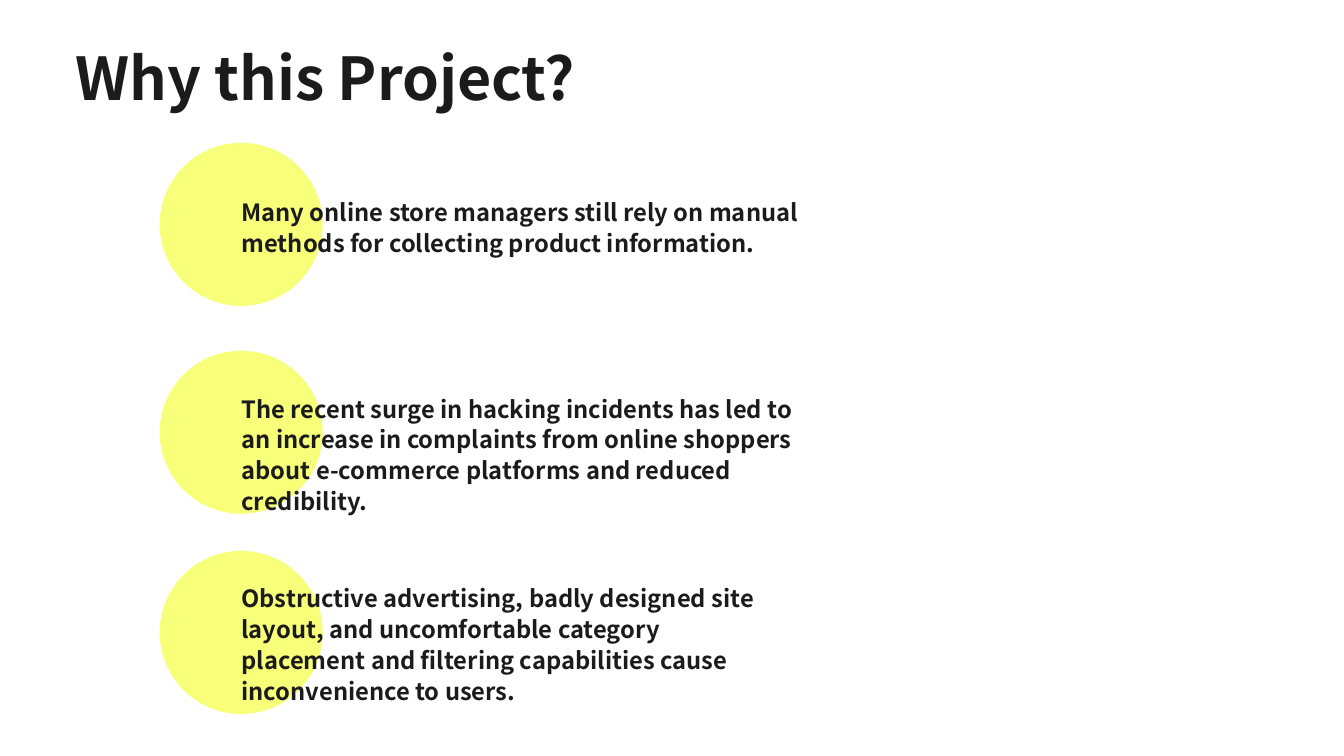
import pptx
import pptx.dml.color
import pptx.enum.shapes
import pptx.enum.text
import pptx.util

PX = 9525  # 96 px to the inch: 1920 x 1080
INK = pptx.dml.color.RGBColor(0x1B, 0x1B, 0x1B)
YELLOW = pptx.dml.color.RGBColor(0xF8, 0xFF, 0x78)


def px(*lengths):
    return [pptx.util.Emu(length * PX) for length in lengths]


def write(shape, text, font_name, size, line_height):
    frame = shape.text_frame
    frame.word_wrap = True
    frame.auto_size = pptx.enum.text.MSO_AUTO_SIZE.NONE
    frame.vertical_anchor = pptx.enum.text.MSO_ANCHOR.TOP
    frame.margin_left = frame.margin_right = 0
    frame.margin_top = frame.margin_bottom = 0
    paragraph = frame.paragraphs[0]
    paragraph.text = text
    paragraph.alignment = pptx.enum.text.PP_ALIGN.LEFT
    paragraph.line_spacing = pptx.util.Pt(line_height)
    paragraph.font.name = font_name
    paragraph.font.size = pptx.util.Pt(size)
    paragraph.font.bold = True
    paragraph.font.color.rgb = INK


deck = pptx.Presentation()
deck.slide_width, deck.slide_height = px(1920, 1080)
slide = deck.slides.add_slide(deck.slide_layouts[5])

# Title
title = slide.shapes.title
title.left, title.top, title.width, title.height = px(108, 59, 1026, 100)
write(title, "Why this Project?", "Noto Sans CJK SC", 63.3, 76)

# Reasons: circle top, text top, text width, text height, text
DIAMETER = 233
CIRCLE_LEFT = 228
REASON_LEFT = 345
reasons = [
    (204, 279, 797, 88,
     "Many online store managers still rely on manual methods for "
     "collecting product information."),
    (501, 560, 797, 132,
     "The recent surge in hacking incidents has led to an increase in "
     "complaints from online shoppers about e-commerce platforms and "
     "reduced credibility."),
    (787, 831, 742, 177,
     "Obstructive advertising, badly designed site layout, and "
     "uncomfortable category placement and filtering capabilities cause "
     "inconvenience to users."),
]
for circle_top, reason_top, width, height, text in reasons:
    circle = slide.shapes.add_shape(
        pptx.enum.shapes.MSO_SHAPE.OVAL,
        *px(CIRCLE_LEFT, circle_top, DIAMETER, DIAMETER))
    circle.shadow.inherit = False
    circle.fill.solid()
    circle.fill.fore_color.rgb = YELLOW
    circle.line.fill.background()

    reason = slide.shapes.add_textbox(*px(REASON_LEFT, reason_top, width, height))
    write(reason, text, "Noto Sans CJK KR", 25.4, 33)

deck.save("out.pptx")
